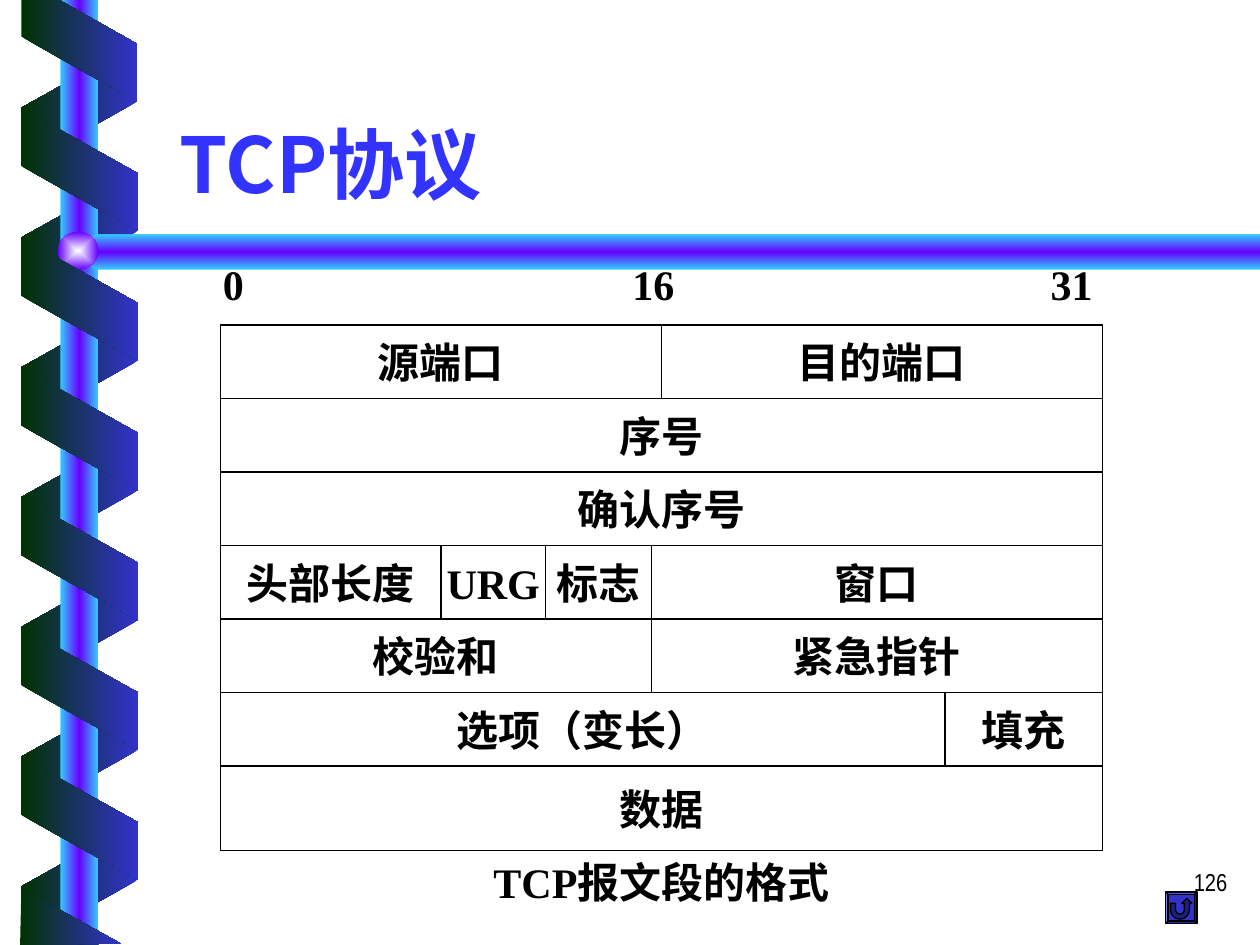
import math

from lxml import etree
from pptx import Presentation
from pptx import util as u
from pptx.dml.color import RGBColor
from pptx.enum import shapes, text
from pptx.oxml.ns import qn

BLACK = RGBColor(0x00, 0x00, 0x00)
TITLE_BLUE = RGBColor(0x33, 0x33, 0xFF)
BLUE = RGBColor(0x33, 0x33, 0xCC)
DARK_BLUE = RGBColor(0x1F, 0x1F, 0x7A)
GREEN = RGBColor(0x00, 0x33, 0x00)
CYAN = RGBColor(0x33, 0xCC, 0xFF)
VIOLET = RGBColor(0x66, 0x00, 0xFF)
PEARL = RGBColor(0xFE, 0xFF, 0xFF)

CJK_FONT = "Noto Sans CJK SC"
BODY = {"name": "Times New Roman", "size": u.Pt(24), "bold": True}
TITLE = {"name": CJK_FONT, "size": u.Pt(44), "bold": True}
NUMBER = {"name": "Arial Narrow", "size": u.Pt(14), "bold": False}
MIDDLE = {"vertical_anchor": text.MSO_ANCHOR.MIDDLE, "word_wrap": False}
WRAPPED = {"vertical_anchor": text.MSO_ANCHOR.TOP, "word_wrap": True}
BOTTOM = {"vertical_anchor": text.MSO_ANCHOR.BOTTOM, "word_wrap": True}

ROD = [CYAN, VIOLET, CYAN]
RIBBON = [GREEN, BLUE]
RIBBON_STEP = 1.03
TABLE_LEFT, TABLE_TOP, ROW_HEIGHT = 1.75, 2.58, 7 / 12
HEADER_ROWS = [
    [("源端口", 3.5), ("目的端口", 3.5)],
    [("序号", 7)],
    [("确认序号", 7)],
    [("头部长度", 1.75), ("URG", 0.83), ("标志", 0.84), ("窗口", 3.58)],
    [("校验和", 3.42), ("紧急指针", 3.58)],
    [("选项（变长）", 5.75), ("填充", 1.25)],
    [("数据", 7)],
]


def apply(target, values):
    for name, value in values.items():
        setattr(target, name, value)


def write(shape, words, style, frame, align, color=BLACK, tabs=()):
    apply(shape.text_frame, frame)
    para = shape.text_frame.paragraphs[0]
    para.alignment = align
    if tabs:
        tab_list = etree.SubElement(para._p.get_or_add_pPr(), qn("a:tabLst"))
        for stop in tabs:
            etree.SubElement(tab_list, qn("a:tab"), pos=str(u.Inches(stop)), algn="l")
    span = para.add_run()
    span.text = words
    apply(span.font, style)
    span.font.color.rgb = color
    etree.SubElement(span._r.get_or_add_rPr(), qn("a:ea"), typeface=CJK_FONT)


def add_label(page, area, words, style, frame, align, **options):
    box = page.shapes.add_textbox(*map(u.Inches, area))
    write(box, words, style, frame, align, **options)


def add_preset(page, kind, area):
    shape = page.shapes.add_shape(kind, *map(u.Inches, area))
    shape.shadow.inherit = False
    shape.line.fill.background()
    return shape


def add_outline(page, points):
    start, *rest = [(u.Inches(x), u.Inches(y)) for x, y in points]
    builder = page.shapes.build_freeform(*start, scale=1.0)
    builder.add_line_segments(rest, close=True)
    shape = builder.convert_to_shape()
    shape.shadow.inherit = False
    shape.line.fill.background()
    return shape


def paint_gradient(shape, colors, angle=0, centred=False):
    shape.fill.gradient()
    gradient = shape.element.spPr.find(qn("a:gradFill"))
    gradient.clear()
    gradient.set("rotWithShape", "0")
    stops = etree.SubElement(gradient, qn("a:gsLst"))
    for index, color in enumerate(colors):
        position = 100000 * index // (len(colors) - 1)
        stop = etree.SubElement(stops, qn("a:gs"), pos=str(position))
        etree.SubElement(stop, qn("a:srgbClr"), val=str(color))
    if centred:
        focus = etree.SubElement(gradient, qn("a:path"), {"path": "rect"})
        sides = dict.fromkeys("ltrb", "50000")
        etree.SubElement(focus, qn("a:fillToRect"), sides)
    else:
        etree.SubElement(gradient, qn("a:lin"), ang=str(angle * 60000), scaled="0")


def add_ribbons(page, top, count, height, rotation, colors, flipped=False):
    for index in range(count):
        area = (0.14, top + index * RIBBON_STEP, 0.98, height)
        ribbon = add_preset(page, shapes.MSO_SHAPE.PARALLELOGRAM, area)
        ribbon.adjustments[0] = 0.56
        ribbon.rotation = rotation
        if flipped:
            ribbon.element.spPr.xfrm.set("flipH", "1")
        paint_gradient(ribbon, colors)


def add_spiral(page):
    add_ribbons(page, 0.37, 7, 0.92, 90, RIBBON[::-1], flipped=True)
    rod = add_preset(page, shapes.MSO_SHAPE.RECTANGLE, (0.48, 0, 0.3, 7.5))
    paint_gradient(rod, ROD)
    bar = add_outline(page, [(10, 1.86), (0.76, 1.86), (0.6, 2), (0.76, 2.14), (10, 2.14)])
    paint_gradient(bar, ROD, angle=90)
    pearl = add_preset(page, shapes.MSO_SHAPE.OVAL, (0.46, 1.84, 0.32, 0.3))
    paint_gradient(pearl, [PEARL, VIOLET], centred=True)
    add_ribbons(page, 0.88, 6, 0.93, 270, RIBBON)
    ends = [
        [(0.17, 0), (0.17, 0.29), (1.09, 0.81), (1.09, 0.35), (0.47, 0)],
        [(0.96, 7.49), (0.17, 7.05), (0.16, 7.5)],
    ]
    for points in ends:
        paint_gradient(add_outline(page, points), RIBBON)


def add_header_format(page):
    for index, row in enumerate(HEADER_ROWS):
        left, top = TABLE_LEFT, TABLE_TOP + index * ROW_HEIGHT
        height = 0.67 if row is HEADER_ROWS[-1] else ROW_HEIGHT
        for words, width in row:
            field = add_preset(page, shapes.MSO_SHAPE.RECTANGLE, (left, top, width, height))
            field.fill.background()
            field.line.color.rgb = BLACK
            field.line.width = u.Pt(0.75)
            write(field, words, BODY, MIDDLE, text.PP_ALIGN.CENTER)
            left += width


def half_turn(center, radius, start, end):
    angles = [math.radians(start + (end - start) * step / 8) for step in range(9)]
    return [(center[0] + radius * math.cos(a), center[1] + radius * math.sin(a)) for a in angles]


def add_return_button(page):
    button = add_preset(page, shapes.MSO_SHAPE.BEVEL, (9.25, 7.08, 0.25, 0.25))
    button.adjustments[0] = 0.08
    center = (9.365, 7.22)
    points = [(9.29, 7.17), (9.33, 7.17)]
    points += half_turn(center, 0.035, 180, 0)
    points += [(9.4, 7.17), (9.38, 7.17), (9.42, 7.13), (9.46, 7.17), (9.44, 7.17)]
    points += half_turn(center, 0.075, 0, 180)
    arrow = add_outline(page, points)
    for shape, color in ((button, BLUE), (arrow, DARK_BLUE)):
        shape.fill.solid()
        shape.fill.fore_color.rgb = color
        shape.line.color.rgb = BLACK
        shape.line.width = u.Pt(0.75)


def main():
    deck = Presentation()
    apply(deck, {"slide_width": u.Inches(10), "slide_height": u.Inches(7.5)})
    page = deck.slides.add_slide(deck.slide_layouts[6])
    align = text.PP_ALIGN
    add_spiral(page)
    add_label(page, (7.76, 6.83, 2.08, 0.5), "126", NUMBER, WRAPPED, align.RIGHT)
    add_label(page, (1.33, 0.46, 8.5, 1.25), "TCP协议", TITLE, BOTTOM, align.LEFT,
              color=TITLE_BLUE)
    add_label(page, (1.67, 2, 7.33, 0.5), "0\t16\t31", BODY, WRAPPED, align.LEFT,
              tabs=(3.25, 6.57))
    add_header_format(page)
    add_label(page, (3.75, 6.75, 3, 0.5), "TCP报文段的格式", BODY, WRAPPED, align.CENTER)
    add_return_button(page)
    deck.save("out.pptx")


if __name__ == "__main__":
    main()
